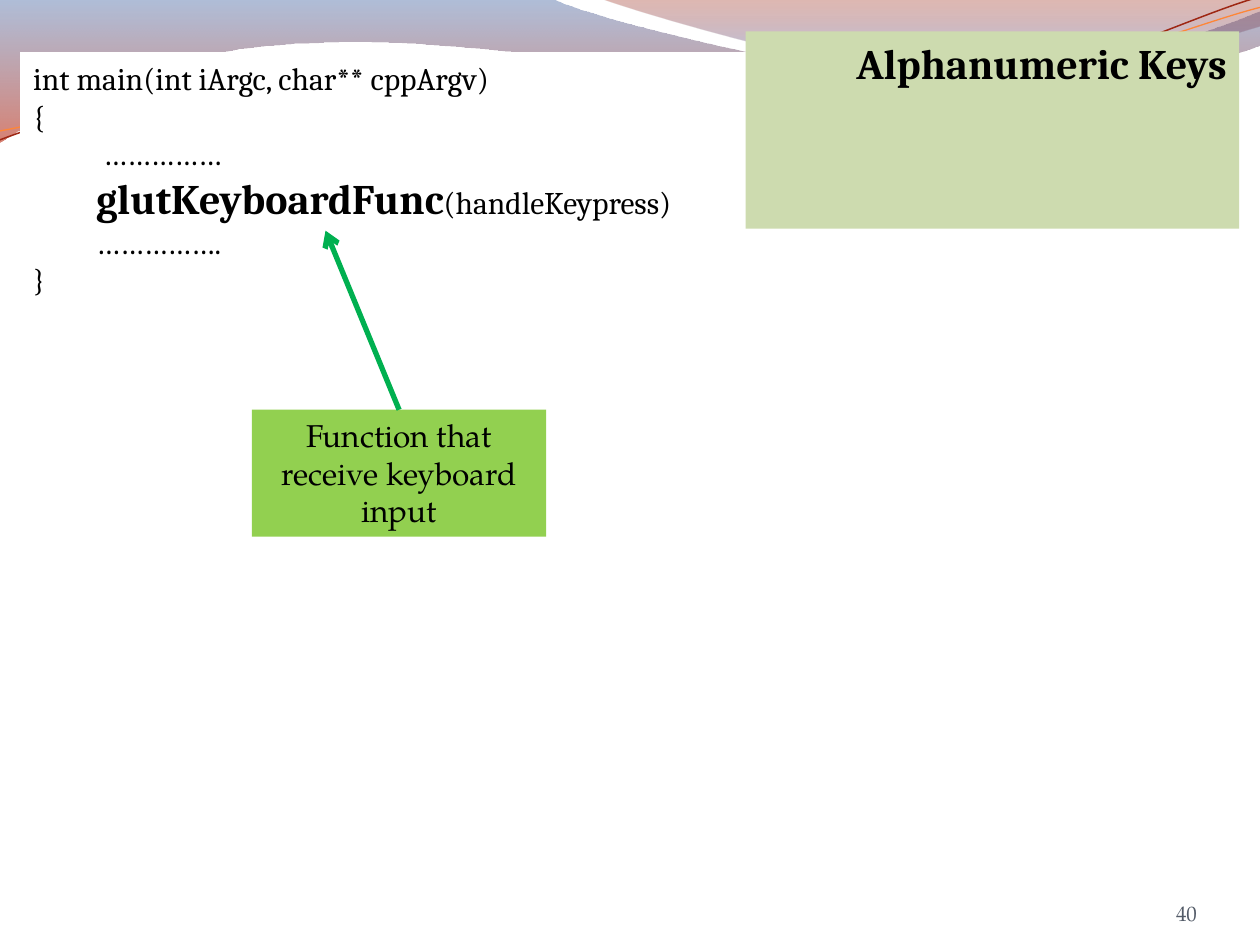
from lxml.etree import SubElement
from pptx import Presentation
from pptx.dml.color import RGBColor
from pptx.enum.shapes import MSO_CONNECTOR, MSO_SHAPE
from pptx.enum.text import MSO_ANCHOR, MSO_AUTO_SIZE, PP_ALIGN
from pptx.oxml.ns import qn
from pptx.util import Cm, Pt

SERIF = "Cambria"
BODY = "TeX Gyre Pagella"

LEFT_WAVE = [
    (0, 0), (11.18, 0),
    (12.09, 0.43, 16.87, 1.6, 19.25, 1.6), (21.67, 1.6, 24.33, 0.66, 25.4, 0.23),
    (25.4, 0.91),
    (24.97, 1.12, 22.1, 1.93, 18.95, 1.91), (15.8, 1.91, 9.7, 0.71, 6.53, 0.86),
    (3.28, 0.91, 1.17, 2.11, 0, 2.87),
]
RIGHT_WAVE = [
    (12.17, 0), (12.93, 0.28, 17.32, 1.57, 19.53, 1.65),
    (21.74, 1.75, 24.41, 0.81, 25.4, 0.53), (25.4, 0),
]
RED_STRAND = [
    (0, 2.82), (1.22, 2.36, 4.01, 1.45, 7.04, 1.32),
    (10.03, 1.19, 15.06, 2.26, 18.11, 2.03), (21.16, 1.8, 23.83, 0.38, 25.35, -0.05),
]
ORANGE_STRAND = [
    (0, 2.64), (1.19, 2.44, 4.17, 1.55, 7.19, 1.42),
    (10.24, 1.3, 15.16, 2.13, 18.21, 1.9), (21.23, 1.7, 23.9, 0.53, 25.4, 0.15),
]


def color(value):
    """Turn a hex string into a colour."""
    return RGBColor.from_string(value)


def add_outline(page, left, top, segments, close):
    """Add a freeform of straight (2 numbers) and cubic (6 numbers) segments in centimetres."""
    points = [(Cm(left + x), Cm(top + y))
              for segment in segments for x, y in zip(segment[::2], segment[1::2])]
    builder = page.shapes.build_freeform(*points[0])
    builder.add_line_segments(points[1:], close=close)
    shape = builder.convert_to_shape()
    shape.shadow.inherit = False
    steps = iter(list(shape._element.iter(qn("a:lnTo"))))
    for segment in segments[1:]:
        first = next(steps)
        if len(segment) == 6:
            curve = first.makeelement(qn("a:cubicBezTo"))
            first.addprevious(curve)
            for step in (first, next(steps), next(steps)):
                curve.append(step[0])
                step.getparent().remove(step)
    return shape


def add_wave(page, left, top, segments, stops):
    """Add a closed wave with a translucent gradient running downwards."""
    wave = add_outline(page, left, top, segments, True)
    wave.line.fill.background()
    wave.fill.gradient()
    wave.fill.gradient_angle = 270
    for stop, (position, value, _) in zip(wave.fill.gradient_stops, stops):
        stop.position = position
        stop.color.rgb = color(value)
    for element, (_, _, opacity) in zip(wave._element.iter(qn("a:srgbClr")), stops):
        SubElement(element, qn("a:alpha"), val=str(opacity * 1000))


def add_strand(page, left, top, segments, value, weight):
    """Add an open curved line."""
    strand = add_outline(page, left, top, segments, False)
    strand.fill.background()
    strand.line.color.rgb = color(value)
    strand.line.width = Pt(weight)


def add_header(page, left, top):
    """Add the waves and strands across the top of the page."""
    add_wave(page, left, top, LEFT_WAVE, [(0, "4F6EA8", 45), (1, "B61A00", 55)])
    add_wave(page, left, top, RIGHT_WAVE, [(0, "951500", 30), (0.8, "5681D1", 45)])
    add_strand(page, left, top, RED_STRAND, "9E2713", 0.85)
    add_strand(page, left, top, ORANGE_STRAND, "FE8637", 0.75)


def add_span(para, text, font, size, value="000000", bold=False):
    """Add one formatted run to a paragraph."""
    span = para.add_run()
    span.text = text
    span.font.name = font
    span.font.size = Pt(size)
    span.font.bold = bold
    span.font.color.rgb = color(value)


def add_panel(page, left, top, width, height, fill):
    """Add a filled rectangle ready for text."""
    panel = page.shapes.add_shape(
        MSO_SHAPE.RECTANGLE, Cm(left), Cm(top), Cm(width), Cm(height))
    panel.shadow.inherit = False
    panel.fill.solid()
    panel.fill.fore_color.rgb = color(fill)
    panel.line.fill.background()
    panel.text_frame.word_wrap = True
    panel.text_frame.auto_size = MSO_AUTO_SIZE.SHAPE_TO_FIT_TEXT
    panel.text_frame.vertical_anchor = MSO_ANCHOR.TOP
    return panel


def add_code(page, left, top, width, height):
    """Add the code listing on its white panel."""
    panel = add_panel(page, left, top, width, height, "FFFFFF")
    panel.line.color.rgb = color("FFFFFF")
    panel.line.width = Pt(0.75)
    frame = panel.text_frame
    lines = [
        (False, [("int main(int iArgc, char** cppArgv)", 18, False)]),
        (False, [("{", 18, False)]),
        (True, [(" ……………", 18, False)]),
        (True, [("glutKeyboardFunc", 24, True), ("(handleKeypress)", 18, False)]),
        (True, [("…………….", 18, False)]),
        (False, [("}", 18, False)]),
    ]
    for index, (indented, spans) in enumerate(lines):
        para = frame.add_paragraph() if index else frame.paragraphs[0]
        para.alignment = PP_ALIGN.LEFT
        if indented:
            para.level = 1
            para._p.get_or_add_pPr().set("marL", str(Cm(1.27)))
        for text, size, bold in spans:
            add_span(para, text, SERIF, size, bold=bold)


def place_title(page, left, top, width, height):
    """Move the title placeholder to the front and format it."""
    title = page.shapes.title
    page.shapes._spTree.append(title._element)
    title.left, title.top, title.width, title.height = map(Cm, (left, top, width, height))
    title.fill.solid()
    title.fill.fore_color.rgb = color("CDDBAF")
    title.text_frame.auto_size = MSO_AUTO_SIZE.SHAPE_TO_FIT_TEXT
    title.text_frame.vertical_anchor = MSO_ANCHOR.TOP
    para = title.text_frame.paragraphs[0]
    para.alignment = PP_ALIGN.RIGHT
    add_span(para, "Alphanumeric Keys", SERIF, 24, bold=True)


def add_callout(page, left, top, width, height, rise):
    """Add the note and an arrow that climbs from it to the function name."""
    note = add_panel(page, left, top, width, height, "92D050")
    para = note.text_frame.paragraphs[0]
    para.alignment = PP_ALIGN.CENTER
    add_span(para, "Function that receive keyboard input", BODY, 18)
    arrow = page.shapes.add_connector(
        MSO_CONNECTOR.STRAIGHT, Cm(left + width / 2), Cm(top),
        Cm(left + width / 4), Cm(top - rise))
    arrow.begin_connect(note, 0)
    arrow.line.color.rgb = color("00B050")
    arrow.line.width = Pt(3)
    SubElement(arrow.line._get_or_add_ln(), qn("a:tailEnd"), type="arrow")
    SubElement(arrow._element.spPr, qn("a:effectLst"))


def add_page_number(page, left, top, width, height):
    """Add the page number at the bottom right."""
    box = page.shapes.add_textbox(Cm(left), Cm(top), Cm(width), Cm(height))
    frame = box.text_frame
    frame.word_wrap = True
    frame.vertical_anchor = MSO_ANCHOR.BOTTOM
    frame.margin_left = frame.margin_top = frame.margin_right = frame.margin_bottom = 0
    para = frame.paragraphs[0]
    para.alignment = PP_ALIGN.RIGHT
    add_span(para, "40", BODY, 12, "535B68")


def main():
    """Build the slide and save it."""
    deck = Presentation()
    deck.slide_width, deck.slide_height = Cm(25.4), Cm(19.05)
    page = deck.slides.add_slide(deck.slide_layouts[5])
    add_header(page, 0, 0)
    add_page_number(page, 22.02, 17.65, 2.11, 1.02)
    add_code(page, 0.42, 1.06, 15.04, 5.13)
    place_title(page, 15.03, 0.63, 9.95, 1.28)
    add_callout(page, 5.08, 8.26, 5.93, 2.56, 3.61)
    deck.save("out.pptx")


if __name__ == "__main__":
    main()
